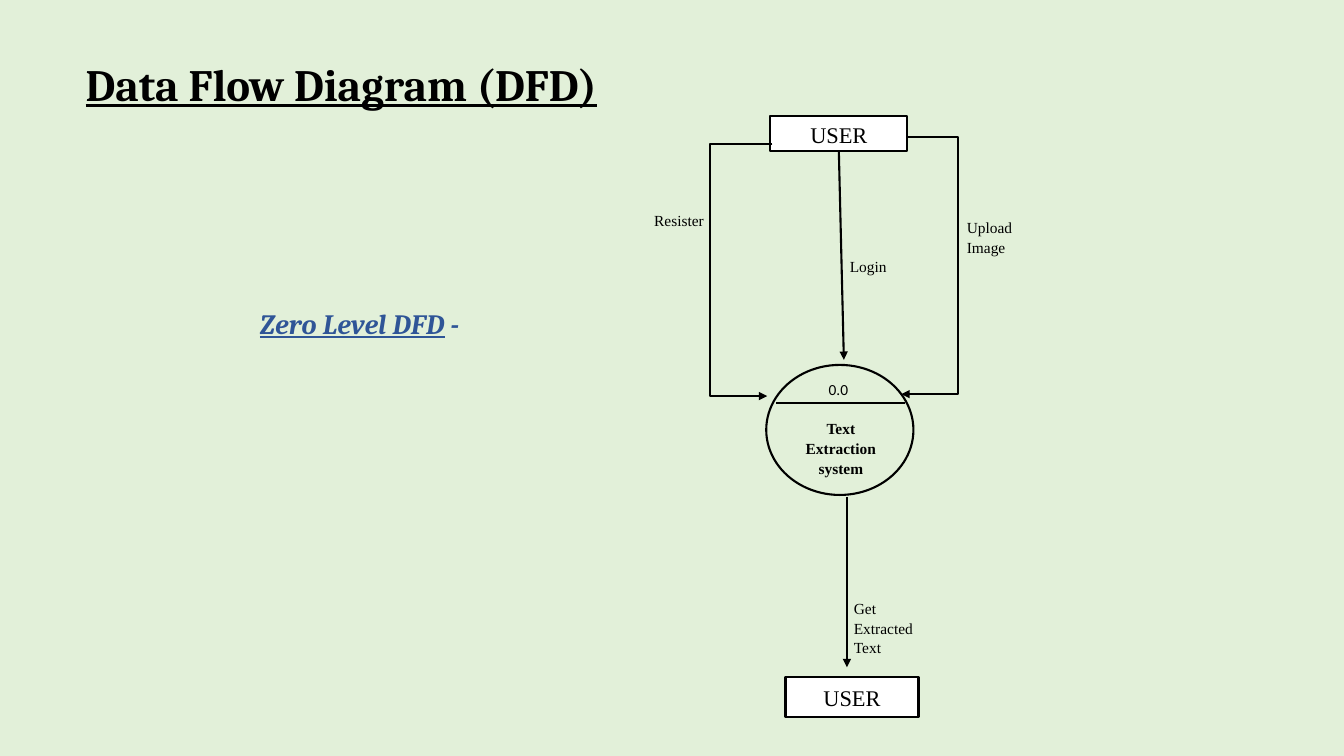
from lxml import etree
from pptx import Presentation
from pptx import util as u
from pptx.dml.color import RGBColor
from pptx.enum import shapes, text
from pptx.oxml import ns

COLORS = {"background": "E2F0D9", "ink": "000000", "box": "FFFFFF", "accent": "2F5597"}
LABEL = {"name": "Times New Roman", "size": u.Pt(11)}
USER = {"name": "Times New Roman", "size": u.Pt(16)}
TITLE = {"name": "Cambria", "size": u.Pt(32), "bold": True, "underline": True}
SUBTITLE = {"name": "Cambria", "size": u.Pt(20), "bold": True, "italic": True}
DIAGRAM_PARAGRAPH = {"line_spacing": 1.07, "space_after": u.Pt(8)}


def rgb(name):
    return RGBColor.from_string(COLORS[name])


def inches(values):
    return [u.Inches(value) for value in values]


def apply(target, formats):
    for name, value in formats.items():
        setattr(target, name, value)


def add_run(paragraph, words, font, color="ink"):
    run = paragraph.add_run()
    run.text = words
    apply(run.font, font)
    run.font.color.rgb = rgb(color)


def add_heading(slide, box, runs, color="ink"):
    frame = slide.shapes.add_textbox(*inches(box)).text_frame
    frame.word_wrap = True
    frame.auto_size = text.MSO_AUTO_SIZE.SHAPE_TO_FIT_TEXT
    for words, font in runs:
        add_run(frame.paragraphs[0], words, font, color)


def add_label(slide, box, words, font=LABEL, align=text.PP_ALIGN.LEFT):
    frame = slide.shapes.add_textbox(*inches(box)).text_frame
    frame.word_wrap = True
    apply(frame.paragraphs[0], {**DIAGRAM_PARAGRAPH, "alignment": align})
    add_run(frame.paragraphs[0], words, font)


def outline(shape):
    shape.line.color.rgb = rgb("ink")
    shape.line.width = u.Pt(1.5)


def add_user(slide, box):
    shape = slide.shapes.add_shape(shapes.MSO_SHAPE.RECTANGLE, *inches(box))
    shape.shadow.inherit = False
    shape.fill.solid()
    shape.fill.fore_color.rgb = rgb("box")
    outline(shape)
    frame = shape.text_frame
    frame.vertical_anchor = text.MSO_ANCHOR.MIDDLE
    apply(frame.paragraphs[0], {**DIAGRAM_PARAGRAPH, "alignment": text.PP_ALIGN.CENTER})
    add_run(frame.paragraphs[0], "USER", USER)
    return shape


def add_line(slide, start, end, arrow=True, bend_x=None):
    """Draw a line; bend_x is the x of the vertical run of an elbow."""
    kinds = shapes.MSO_CONNECTOR
    kind = kinds.STRAIGHT if bend_x is None else kinds.ELBOW
    line = slide.shapes.add_connector(kind, *inches(start + end))
    outline(line)
    properties = line._element.spPr
    etree.SubElement(properties, ns.qn("a:effectLst"))
    if arrow:
        etree.SubElement(line.line._get_or_add_ln(), ns.qn("a:tailEnd"), type="triangle")
    if bend_x is not None:
        bend = round((bend_x - start[0]) / (end[0] - start[0]) * 100000)
        guides = properties.find(ns.qn("a:prstGeom")).get_or_add_avLst()
        etree.SubElement(guides, ns.qn("a:gd"), name="adj1", fmla=f"val {bend}")
    return line


def add_process(slide, box):
    """Draw the numbered process circle with its divider and name."""
    left, top, width, height = box
    circle = slide.shapes.add_shape(shapes.MSO_SHAPE.OVAL, *inches(box))
    circle.shadow.inherit = False
    circle.fill.background()
    outline(circle)
    divider_y = top + 0.38
    add_line(slide, (left + 0.1, divider_y), (left + width - 0.08, divider_y), arrow=False)
    add_label(slide, (left + 0.52, top + 0.09, 0.47, 0.28), "0.0", {**LABEL, "name": "Calibri"})
    add_label(slide, (left + 0.25, top + 0.48, 0.98, 0.77), "Text Extraction system",
              {**LABEL, "bold": True}, text.PP_ALIGN.CENTER)


def add_diagram(slide, box):
    left, top, width, height = box

    def at(x, y):
        return left + x, top + y

    user = add_user(slide, at(1.25, 0) + (1.36, 0.35))
    add_user(slide, at(1.4, height - 0.39) + (1.32, 0.39))
    add_process(slide, at(1.21, 2.47) + (1.46, 1.29))

    login = add_line(slide, at(1.93, 0.35), at(1.98, 2.42))
    login.begin_connect(user, 2)
    add_line(slide, at(2.01, 3.78), at(2.01, 5.47))
    add_line(slide, at(2.61, 0.21), at(2.55, 2.76), bend_x=left + 3.11)
    add_line(slide, at(1.27, 0.28), at(1.22, 2.78), bend_x=left + 0.65)

    for x, y, label_width, label_height, words in (
        (0, 0.88, 0.76, 0.31, "Resister"),
        (1.94, 1.34, 0.76, 0.31, "Login"),
        (3.1, 0.95, 0.69, 0.57, "Upload Image"),
        (1.98, 4.73, 0.91, 0.69, "Get Extracted Text"),
    ):
        add_label(slide, at(x, y) + (label_width, label_height), words)


def main():
    presentation = Presentation()
    presentation.slide_width, presentation.slide_height = inches((13.33, 7.5))
    slide = presentation.slides.add_slide(presentation.slide_layouts[6])
    slide.background.fill.solid()
    slide.background.fill.fore_color.rgb = rgb("background")
    add_heading(slide, (0.75, 0.51, 7.35, 0.64), [("Data Flow Diagram (DFD)", TITLE)])
    add_heading(slide, (2.48, 2.99, 2.43, 0.44),
                [("Zero Level DFD", {**SUBTITLE, "underline": True}), (" -", SUBTITLE)], "accent")
    add_diagram(slide, (6.39, 1.15, 3.79, 5.96))
    presentation.save("out.pptx")


if __name__ == "__main__":
    main()
